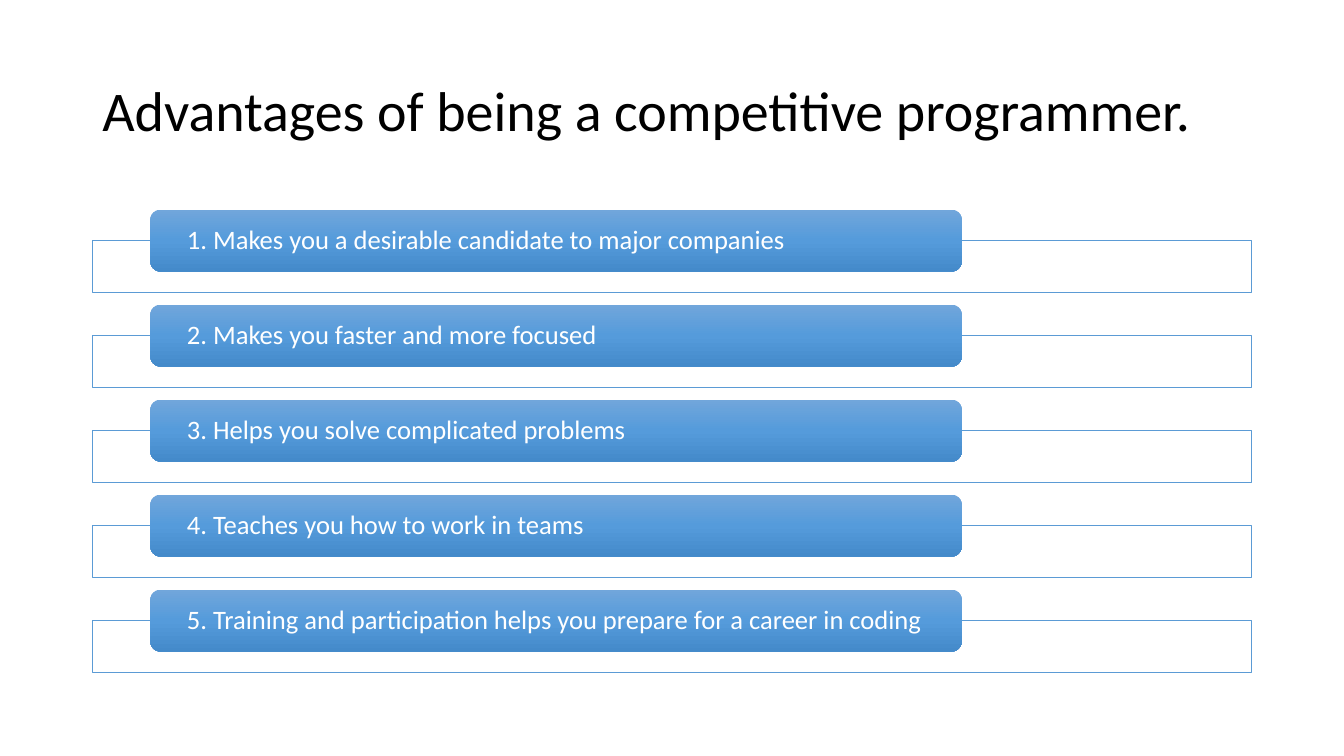
import copy

import lxml.etree
import pptx
import pptx.dml.color
import pptx.enum.shapes
import pptx.enum.text
import pptx.oxml.ns
import pptx.util

Pt = pptx.util.Pt
RGB = pptx.dml.color.RGBColor
KIND = pptx.enum.shapes.MSO_SHAPE
qn = pptx.oxml.ns.qn

BLACK = RGB(0x00, 0x00, 0x00)
WHITE = RGB(0xFF, 0xFF, 0xFF)
BLUE = RGB(0x5B, 0x9B, 0xD5)
SHADES = [
    (0, RGB(0x71, 0xA6, 0xDB)),
    (0.5, RGB(0x55, 0x9B, 0xDB)),
    (1, RGB(0x44, 0x8A, 0xCA)),
]

TITLE = "Advantages of being a competitive programmer."
ITEMS = [
    "Makes you a desirable candidate to major companies",
    "Makes you faster and more focused",
    "Helps you solve complicated problems",
    "Teaches you how to work in teams",
    "Training and participation helps you prepare for a career in coding",
]

LEFT, WIDTH = 66, 828
TOP, PITCH = 149.7, 67.86
DROP = 21.7  # from the top of a label to the top of its frame


def assign(target, values):
    for name, value in values.items():
        setattr(target, name, value)


def write(shape, text, size, color, inset, edge):
    """Put one left-aligned line in a shape, centred in height."""
    frame = shape.text_frame
    assign(frame, {
        "word_wrap": True,
        "vertical_anchor": pptx.enum.text.MSO_ANCHOR.MIDDLE,
        "margin_left": Pt(inset),
        "margin_right": Pt(inset),
        "margin_top": Pt(edge),
        "margin_bottom": Pt(edge),
    })
    para = frame.paragraphs[0]
    assign(para, {
        "text": text,
        "alignment": pptx.enum.text.PP_ALIGN.LEFT,
        "line_spacing": 0.9,
    })
    assign(para.font, {"name": "Calibri", "size": Pt(size)})
    para.font.color.rgb = color


def add_title(slide):
    box = slide.shapes.add_textbox(Pt(LEFT), Pt(28.75), Pt(WIDTH), Pt(104.4))
    write(box, TITLE, 40, BLACK, 7.2, 3.6)


def add_block(slide, kind, left, top, width, height):
    block = slide.shapes.add_shape(
        kind, Pt(left), Pt(top), Pt(width), Pt(height))
    block.shadow.inherit = False
    return block


def add_frame(slide, top):
    frame = add_block(slide, KIND.RECTANGLE, LEFT, top, WIDTH, 37.8)
    frame.fill.solid()
    frame.fill.fore_color.rgb = WHITE
    tint = frame.fill._xPr.find(".//" + qn("a:srgbClr"))
    lxml.etree.SubElement(tint, qn("a:alpha"), val="90000")
    frame.line.color.rgb = BLUE
    frame.line.width = Pt(0.5)


def shade(shape):
    """Fill a shape with the three blues, from top to bottom."""
    fill = shape.fill
    fill.gradient()
    fill.gradient_angle = 270
    stops = shape._element.spPr.find(".//" + qn("a:gsLst"))
    stops.append(copy.deepcopy(stops[0]))
    for stop, (place, color) in zip(fill.gradient_stops, SHADES):
        stop.position = place
        stop.color.rgb = color


def add_label(slide, top, text):
    label = add_block(
        slide, KIND.ROUNDED_RECTANGLE, 107.4, top, 579.6, 44.28)
    shade(label)
    label.line.fill.background()
    write(label, text, 19, WHITE, 24, 0)


def main():
    deck = pptx.Presentation()
    assign(deck, {"slide_width": Pt(960), "slide_height": Pt(540)})
    slide = deck.slides.add_slide(deck.slide_layouts[6])
    add_title(slide)
    for index, item in enumerate(ITEMS):
        top = TOP + index * PITCH
        add_frame(slide, top + DROP)
        add_label(slide, top, f"{index + 1}. {item}")
    deck.save("out.pptx")


if __name__ == "__main__":
    main()
